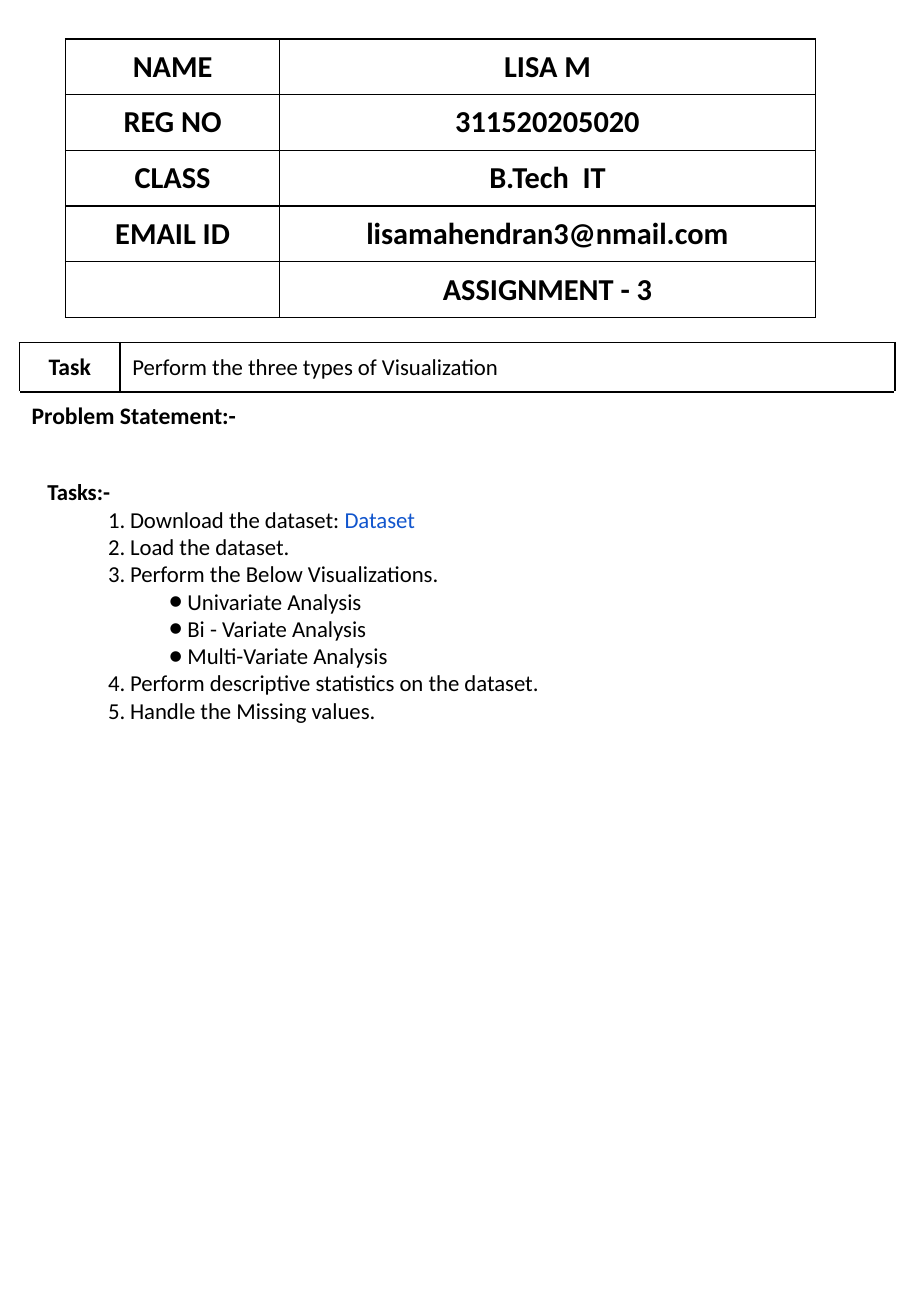
from dataclasses import dataclass

from lxml.etree import SubElement
from pptx import Presentation
from pptx.dml.color import RGBColor
from pptx.enum.text import MSO_ANCHOR as Anchor, MSO_AUTO_SIZE as AutoSize, PP_ALIGN as Align
from pptx.oxml.ns import qn
from pptx.util import Pt


@dataclass(frozen=True)
class Theme:
    font: str = "Calibri"
    ink: str = "000000"
    link: str = "1155CD"
    paper: str = "FFFFFF"
    details: float = 18
    heading: float = 14
    body: float = 13.5
    rule: float = 1


THEME = Theme()

DETAILS = [
    ("NAME", "LISA M"),
    ("REG NO", "311520205020"),
    ("CLASS", "B.Tech  IT"),
    ("EMAIL ID", "lisamahendran3@nmail.com"),
    ("", "ASSIGNMENT - 3"),
]

# Each task: list level, then its text in (wording, colour) parts
TASKS = [
    (0, [("Download the dataset: ", THEME.ink), ("Dataset", THEME.link)]),
    (0, [("Load the dataset.", THEME.ink)]),
    (0, [("Perform the Below Visualizations.", THEME.ink)]),
    (1, [("Univariate Analysis", THEME.ink)]),
    (1, [("Bi - Variate Analysis", THEME.ink)]),
    (1, [("Multi-Variate Analysis", THEME.ink)]),
    (0, [("Perform descriptive statistics on the dataset.", THEME.ink)]),
    (0, [("Handle the Missing values.", THEME.ink)]),
]

# Per list level: text indent, hanging width, marker tag and its attributes
MARKERS = [
    (49, 13, "a:buAutoNum", {"type": "arabicPeriod"}),
    (83, 11, "a:buChar", {"char": "●"}),
]


def add_text(para, text, size=THEME.body, color=THEME.ink, bold=False, align=Align.LEFT):
    para.alignment = align
    para.space_before = Pt(0)
    span = para.add_run()
    span.text = text
    span.font.name = THEME.font
    span.font.size = Pt(size)
    span.font.bold = bold
    span.font.color.rgb = RGBColor.from_string(color)


def set_marker(para, level):
    """Give a list paragraph its number or bullet with a hanging indent."""
    indent, hanging, tag, attributes = MARKERS[level]
    para.level = level
    properties = para._p.get_or_add_pPr()
    properties.set("marL", str(Pt(indent)))
    properties.set("indent", str(-Pt(hanging)))
    SubElement(properties, qn("a:buFont"), typeface=THEME.font)
    SubElement(properties, qn(tag), attributes)


def format_cell(cell, sides):
    """Rule the given sides (of L, R, T, B) and fill the cell with paper."""
    properties = cell._tc.get_or_add_tcPr()
    for side in sides:
        line = SubElement(properties, qn(f"a:ln{side}"), w=str(Pt(THEME.rule)))
        fill = SubElement(line, qn("a:solidFill"))
        SubElement(fill, qn("a:srgbClr"), val=THEME.ink)
    cell.fill.solid()
    cell.fill.fore_color.rgb = RGBColor.from_string(THEME.paper)
    cell.vertical_anchor = Anchor.MIDDLE


def add_grid(page, left, top, widths, row_height, row_count):
    table = page.shapes.add_table(
        row_count, len(widths), Pt(left), Pt(top), Pt(sum(widths)), Pt(row_height * row_count)
    ).table
    table.first_row = table.horz_banding = False
    for column, width in zip(table.columns, widths):
        column.width = Pt(width)
    for row in table.rows:
        row.height = Pt(row_height)
    return table


def add_details(page):
    table = add_grid(page, 38.9, 23, (126.9, 317.6), 33.05, len(DETAILS))
    for row, texts in zip(table.rows, DETAILS):
        for cell, text in zip(row.cells, texts):
            format_cell(cell, "LRTB")
            if text:
                add_text(cell.text_frame.paragraphs[0], text, THEME.details,
                         bold=True, align=Align.CENTER)


def add_task_table(page):
    table = add_grid(page, 11.5, 203, (59.75, 459.35), 29.2, 2)
    label, task = table.rows[0].cells
    problem = table.cell(1, 0)
    problem.merge(table.cell(1, 1))
    for cell, sides in ((label, "LRTB"), (task, "LRTB"), (problem, "T")):
        format_cell(cell, sides)
    add_text(label.text_frame.paragraphs[0], "Task", THEME.heading, bold=True, align=Align.CENTER)
    add_text(task.text_frame.paragraphs[0], "Perform the three types of Visualization",
             align=Align.JUSTIFY)
    add_text(problem.text_frame.paragraphs[0], "Problem Statement:-", THEME.heading, bold=True)


def place(box, top, height):
    box.left, box.top, box.width, box.height = Pt(20.9), Pt(top), Pt(509.8), Pt(height)
    frame = box.text_frame
    frame.auto_size = AutoSize.NONE
    frame.word_wrap = True
    frame.vertical_anchor = Anchor.TOP
    frame.margin_top = frame.margin_bottom = 0
    return frame


def add_tasks(page):
    title = place(page.shapes.title, top=283, height=16.4)
    add_text(title.paragraphs[0], "Tasks:-", bold=True)
    body = place(page.placeholders[1], top=299.4, height=135)
    for index, (level, parts) in enumerate(TASKS):
        para = body.add_paragraph() if index else body.paragraphs[0]
        for text, color in parts:
            add_text(para, text, color=color)
        set_marker(para, level)


def main():
    deck = Presentation()
    deck.slide_width, deck.slide_height = Pt(540), Pt(779.76)
    page = deck.slides.add_slide(deck.slide_layouts.get_by_name("Title and Content"))
    add_details(page)
    add_task_table(page)
    add_tasks(page)
    deck.save("out.pptx")


if __name__ == "__main__":
    main()
